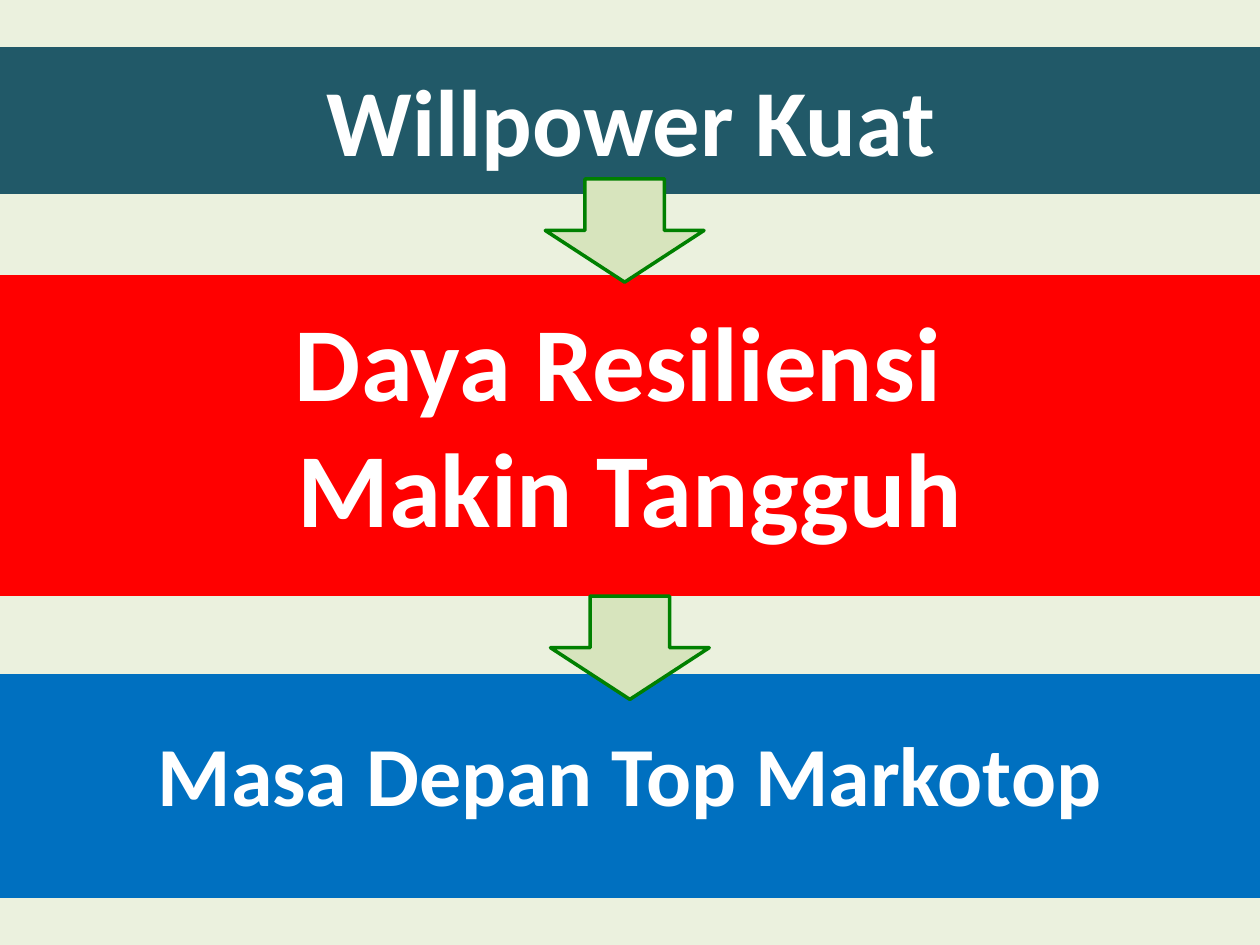
from pptx import Presentation
from pptx.dml.color import RGBColor
from pptx.enum.shapes import MSO_SHAPE
from pptx.enum.text import MSO_AUTO_SIZE, PP_ALIGN
from pptx.util import Pt

WIDTH, HEIGHT = 720, 540
CREAM = RGBColor(0xEB, 0xF1, 0xDE)
TEAL = RGBColor(0x21, 0x59, 0x68)
RED = RGBColor(0xFF, 0x00, 0x00)
BLUE = RGBColor(0x00, 0x70, 0xC0)
SAGE = RGBColor(0xD7, 0xE4, 0xBD)
GREEN = RGBColor(0x00, 0x80, 0x00)
WHITE = RGBColor(0xFF, 0xFF, 0xFF)


def write(paragraph, text, *, size, font="Calibri", color=WHITE, bold=True,
          align=PP_ALIGN.CENTER):
    paragraph.alignment = align
    run = paragraph.add_run()
    run.text = text
    run.font.name = font
    run.font.size = Pt(size)
    run.font.bold = bold
    run.font.color.rgb = color


class Poster:
    line_width = 2
    arrow_size = (90.72, 59.04)

    def __init__(self, slide):
        self.slide = slide

    def shape(self, kind, left, top, width, height, fill, line):
        shape = self.slide.shapes.add_shape(
            kind, Pt(left), Pt(top), Pt(width), Pt(height))
        shape.shadow.inherit = False
        shape.fill.solid()
        shape.fill.fore_color.rgb = fill
        shape.line.color.rgb = line
        shape.line.width = Pt(self.line_width)

    def band(self, top, height, color, width=WIDTH):
        self.shape(MSO_SHAPE.RECTANGLE, 0, top, width, height, color, color)

    def arrow(self, left, top):
        self.shape(MSO_SHAPE.DOWN_ARROW, left, top, *self.arrow_size, SAGE, GREEN)

    def heading(self, lines, left, top, width, height, size):
        box = self.slide.shapes.add_textbox(
            Pt(left), Pt(top), Pt(width), Pt(height))
        frame = box.text_frame
        frame.word_wrap = True
        frame.auto_size = MSO_AUTO_SIZE.SHAPE_TO_FIT_TEXT
        for index, line in enumerate(lines):
            paragraph = frame.add_paragraph() if index else frame.paragraphs[0]
            write(paragraph, line, size=size)


def main():
    presentation = Presentation()
    presentation.slide_width = Pt(WIDTH)
    presentation.slide_height = Pt(HEIGHT)
    poster = Poster(presentation.slides.add_slide(presentation.slide_layouts[6]))

    poster.band(0, HEIGHT, CREAM, width=719.3)
    poster.band(158.4, 181.4, RED)
    poster.band(385.9, 126, BLUE)
    poster.band(28.1, 82.1, TEAL)

    poster.heading(["Willpower Kuat"], 0.7, 31.7, 720, 72.7, 54)
    poster.heading(["Daya Resiliensi ", "Makin Tangguh"], 7.2, 165.6, 705.6, 152.6, 60)
    poster.heading(["Masa Depan Top Markotop"], 80, 409.6, 560, 65.4, 48)

    poster.arrow(311.6, 102.2)
    poster.arrow(314.6, 340.6)

    presentation.save("out.pptx")


if __name__ == "__main__":
    main()
